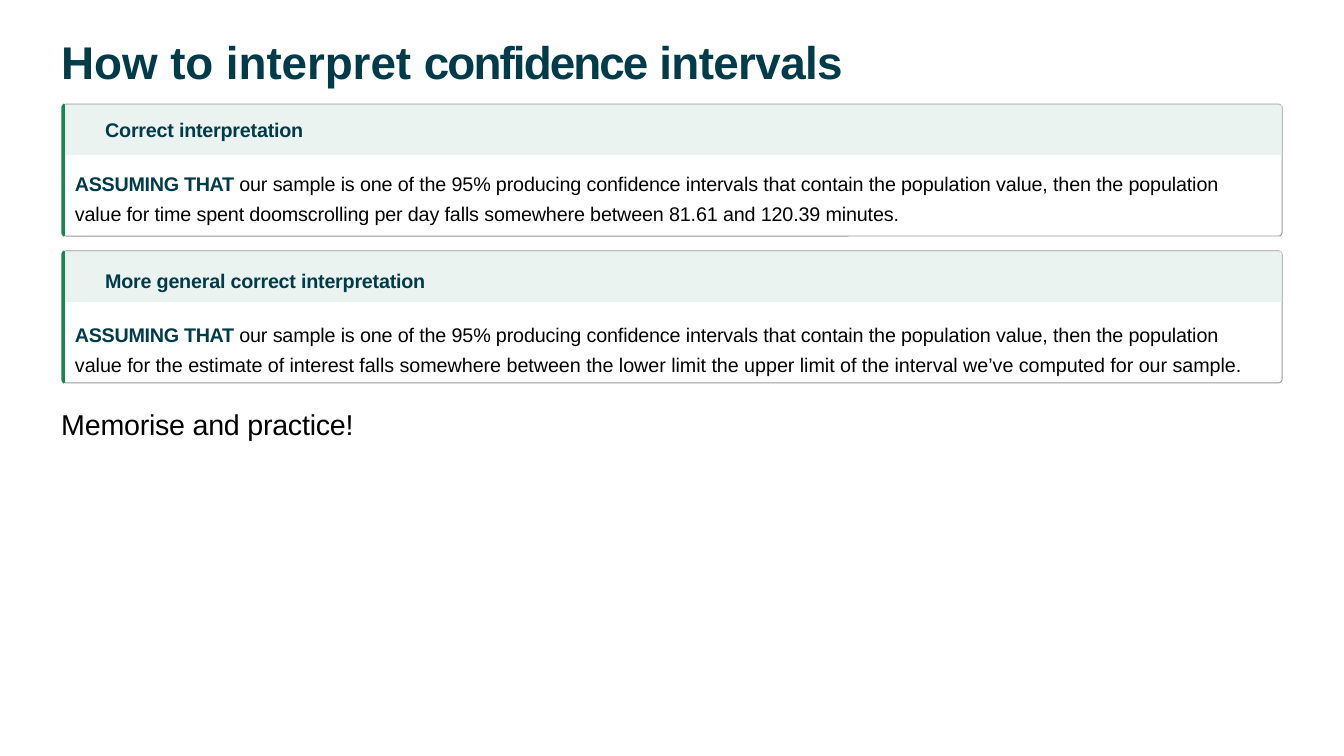
from dataclasses import dataclass

from lxml.etree import SubElement as Sub
from pptx import Presentation
from pptx.dml.color import RGBColor as Rgb
from pptx.enum.shapes import MSO_SHAPE as Kind
from pptx.enum.text import MSO_ANCHOR as Anchor, MSO_AUTO_SIZE as Fit, PP_ALIGN as Align
from pptx.oxml.ns import qn
from pptx.util import Pt


@dataclass(frozen=True)
class Theme:
    font: str = "Arial"
    dark: str = "003B49"
    ink: str = "000000"
    green: str = "188653"
    mint: str = "E7F2ED"
    grey: str = "999999"
    title: float = 36
    text: float = 15.5
    note: float = 22.5


class Deck:
    def __init__(self, theme, width, height):
        self.theme = theme
        self.prs = Presentation()
        self.prs.slide_width, self.prs.slide_height = Pt(width), Pt(height)
        self.slide = self.prs.slides.add_slide(self.prs.slide_layouts[1])
        self.shapes = self.slide.shapes

    def paint(self, shape, fill=None, line=None):
        shape.shadow.inherit = False
        if fill:
            shape.fill.solid()
            shape.fill.fore_color.rgb = Rgb.from_string(fill)
        else:
            shape.fill.background()
        if line:
            shape.line.color.rgb = Rgb.from_string(line)
            shape.line.width = Pt(0.75)
        else:
            shape.line.fill.background()

    def box(self, kind, left, top, width, height, **paint):
        shape = self.shapes.add_shape(kind, Pt(left), Pt(top), Pt(width), Pt(height))
        self.paint(shape, **paint)
        return shape

    def card(self, left, top, width, height, head):
        """Draw a thin frame with a tinted header band and a tapered left bar."""
        bar, bend = 2.9, 2.7
        frame = self.box(Kind.ROUNDED_RECTANGLE, left + 1, top + 0.4, width - 1.4,
                         height - 0.8, line=self.theme.grey)
        frame.adjustments[0] = bend / height
        band = self.box(Kind.RECTANGLE, left + bar, top + 0.8, width - bar - 0.8, head,
                        fill=self.theme.mint)
        tint = band.fill._xPr.find(qn("a:solidFill"))[0]
        Sub(tint, qn("a:alpha"), val="85000")

        low = top + height
        pen = self.shapes.build_freeform(Pt(left + bar / 2), Pt(top))
        pen.add_line_segments([(Pt(x), Pt(y)) for x, y in (
            (left + bar, top + 0.8), (left + bar, low - 0.8), (left + bar / 2, low),
            (left, low - bend), (left, top + bend))])
        self.paint(pen.convert_to_shape(), fill=self.theme.green)

    def holder(self, index, left, top, width, height, inset):
        """Place a placeholder above the drawn shapes and return its text frame."""
        shape = self.slide.placeholders[index]
        self.shapes._spTree.append(shape._element)
        spot = dict(left=left, top=top, width=width, height=height)
        for name, value in spot.items():
            setattr(shape, name, Pt(value))
        frame = shape.text_frame
        form = dict(margin_left=0, margin_right=0, margin_top=Pt(inset), margin_bottom=0,
                    word_wrap=True, auto_size=Fit.NONE, vertical_anchor=Anchor.TOP)
        for name, value in form.items():
            setattr(frame, name, value)
        return frame

    def para(self, frame, runs, size, before, indent=0.7, lines=1.0):
        """Add a paragraph; each run is (text, colour, bold, letter spacing)."""
        para = frame.paragraphs[0]
        if para.runs:
            para = frame.add_paragraph()
        form = dict(alignment=Align.LEFT, space_before=Pt(before), space_after=Pt(0),
                    line_spacing=lines)
        for name, value in form.items():
            setattr(para, name, value)
        props = para._p.get_or_add_pPr()
        for name, value in dict(marL=indent, marR=24, indent=0).items():
            props.set(name, str(Pt(value)))
        Sub(props, qn("a:buNone"))
        for text, color, bold, track in runs:
            run = para.add_run()
            run.text = text
            for name, value in dict(name=self.theme.font, size=Pt(size), bold=bold).items():
                setattr(run.font, name, value)
            run.font.color.rgb = Rgb.from_string(color)
            run._r.get_or_add_rPr().set("spc", str(round(track * 100)))


LEAD = ("our sample is one of the 95% producing confidence intervals that contain "
        "the population value, then the population ")
# heading, ending, ending's letter spacing, space above heading, space above text
CARDS = [
    ("Correct interpretation",
     "value for time spent doomscrolling per day falls somewhere between "
     "81.61 and 120.39 minutes.", -0.1, 1.2, 18.1),
    ("More general correct interpretation",
     "value for the estimate of interest falls somewhere between the lower limit the "
     "upper limit of the interval we’ve computed for our sample.", -0.04, 33.8, 18.9),
]


def main():
    look = Theme()
    deck = Deck(look, 1056.24, 594)
    for row in range(len(CARDS)):
        deck.card(48.2, 81.4 + 115.4 * row, 959.8, 104.5, 39.6)

    title = deck.holder(0, 47.4, 25.9, 812.2, 45.4, 0.7)
    words = [("How to interpret ", -0.05), ("confidence ", -1.5), ("intervals", -0.5)]
    deck.para(title, [(text, look.dark, True, track) for text, track in words],
              look.title, 1)

    body = deck.holder(1, 47.4, 91.4, 959.8, 252.7, 1.4)
    for head, tail, track, above, gap in CARDS:
        deck.para(body, [(head, look.dark, True, -0.16)], look.text, above, 35.3)
        deck.para(body, [("ASSUMING THAT ", look.dark, True, -0.24),
                         (LEAD, look.ink, False, -0.11),
                         (tail, look.ink, False, track)], look.text, gap, 11.5, 1.28)
    deck.para(body, [("Memorise and practice!", look.ink, False, -0.22)], look.note, 23.5)
    deck.prs.save("out.pptx")


if __name__ == "__main__":
    main()
